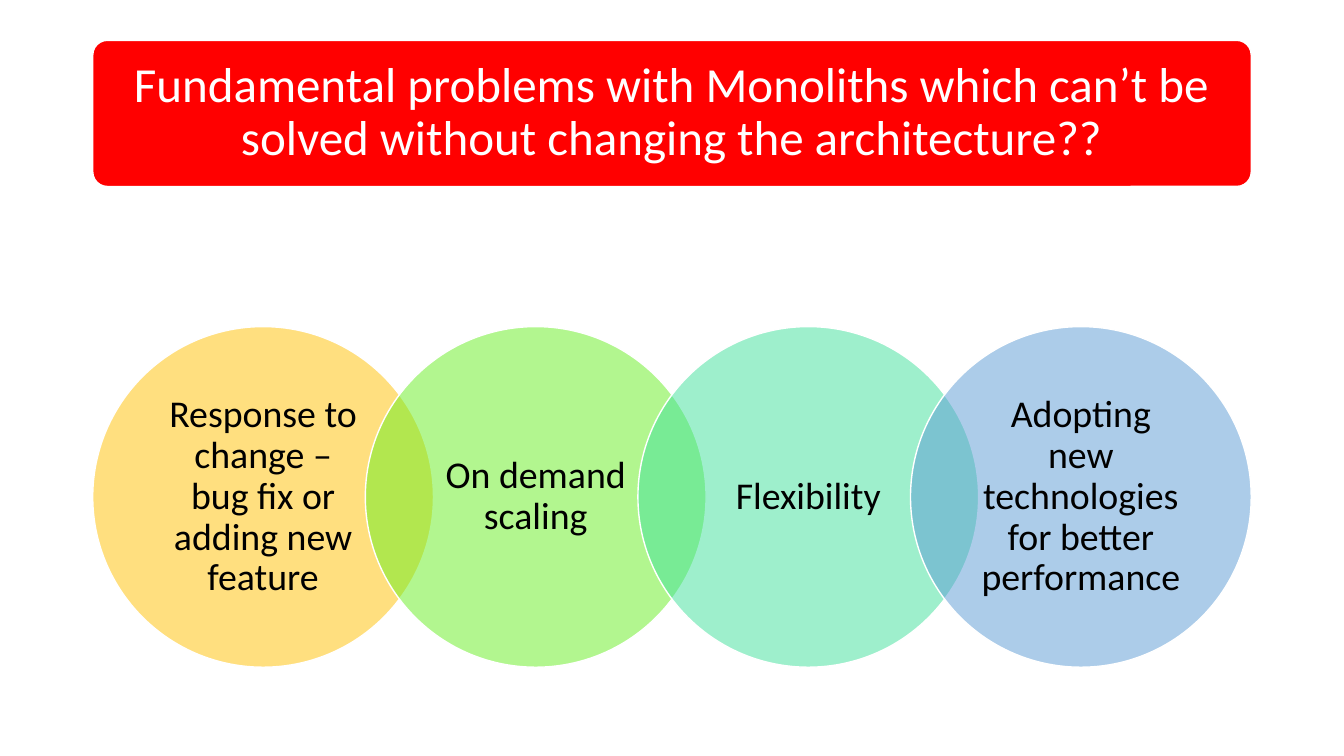
from dataclasses import dataclass

from lxml.etree import SubElement
from pptx import Presentation
from pptx.dml.color import RGBColor as RGB
from pptx.enum.shapes import MSO_SHAPE as SHAPE
from pptx.enum.text import MSO_ANCHOR as ANCHOR, PP_ALIGN as ALIGN
from pptx.oxml.ns import qn
from pptx.util import Inches, Pt


@dataclass(frozen=True)
class Theme:
    """Colours and type sizes of the slide."""
    font: str = "Calibri"
    banner: str = "FF0000"
    light: str = "FFFFFF"
    dark: str = "000000"
    title_size: int = 35
    label_size: int = 27
    alpha: int = 50
    overlap: float = 0.2


THEME = Theme()
PROBLEMS = [
    ("Response to change – bug fix or adding new feature", "FFC000"),
    ("On demand scaling", "67EF21"),
    ("Flexibility", "3FE19B"),
    ("Adopting new technologies for better performance", "5B9BD5"),
]


def add_label_shape(slide, kind, box, fill, text, size, color, insets):
    """Add a filled, white-edged shape with centred text and return it."""
    sp = slide.shapes.add_shape(kind, *(Inches(v) for v in box))
    sp.shadow.inherit = False
    sp.fill.solid()
    sp.fill.fore_color.rgb = RGB.from_string(fill)
    sp.line.color.rgb = RGB.from_string(THEME.light)
    sp.line.width = Pt(1)
    tf = sp.text_frame
    tf.word_wrap = True
    tf.vertical_anchor = ANCHOR.MIDDLE
    tf.margin_left = tf.margin_right = Inches(insets[0])
    tf.margin_top = tf.margin_bottom = Inches(insets[1])
    tf.text = text
    p = tf.paragraphs[0]
    p.alignment = ALIGN.CENTER
    p.line_spacing = 0.9
    font = p.runs[0].font
    font.name = THEME.font
    font.size = Pt(size)
    font.color.rgb = RGB.from_string(color)
    return sp


def set_alpha(sp, percent):
    """Make the solid fill of a shape partly transparent."""
    color = sp.fill._xPr.find(qn("a:solidFill"))[0]
    SubElement(color, qn("a:alpha")).set("val", str(percent * 1000))


def add_banner(slide, box, text):
    """Draw the rounded title banner in the box."""
    sp = add_label_shape(slide, SHAPE.ROUNDED_RECTANGLE, box, THEME.banner,
                         text, THEME.title_size, THEME.light, (0.15, 0.15))
    sp.adjustments[0] = 0.1


def add_circle_chain(slide, box, items):
    """Draw overlapping circles that span the width of the box."""
    left, top, width, height = box
    step = 1 - THEME.overlap
    size = width / (1 + step * (len(items) - 1))
    y = top + (height - size) / 2
    for i, (text, fill) in enumerate(items):
        circle = (left + i * step * size, y, size, size)
        sp = add_label_shape(slide, SHAPE.OVAL, circle, fill, text,
                             THEME.label_size, THEME.dark, (0.19, 0.04))
        set_alpha(sp, THEME.alpha)


def main():
    """Build and save the slide."""
    prs = Presentation()
    prs.slide_width, prs.slide_height = Inches(13.33), Inches(7.5)
    slide = prs.slides.add_slide(prs.slide_layouts[6])
    left, width = 0.92, 11.49
    add_banner(slide, (left, 0.4, width, 1.45),
               "Fundamental problems with Monoliths which can’t be solved "
               "without changing the architecture??")
    add_circle_chain(slide, (left, 3.24, width, 3.38), PROBLEMS)
    prs.save("out.pptx")


if __name__ == "__main__":
    main()
